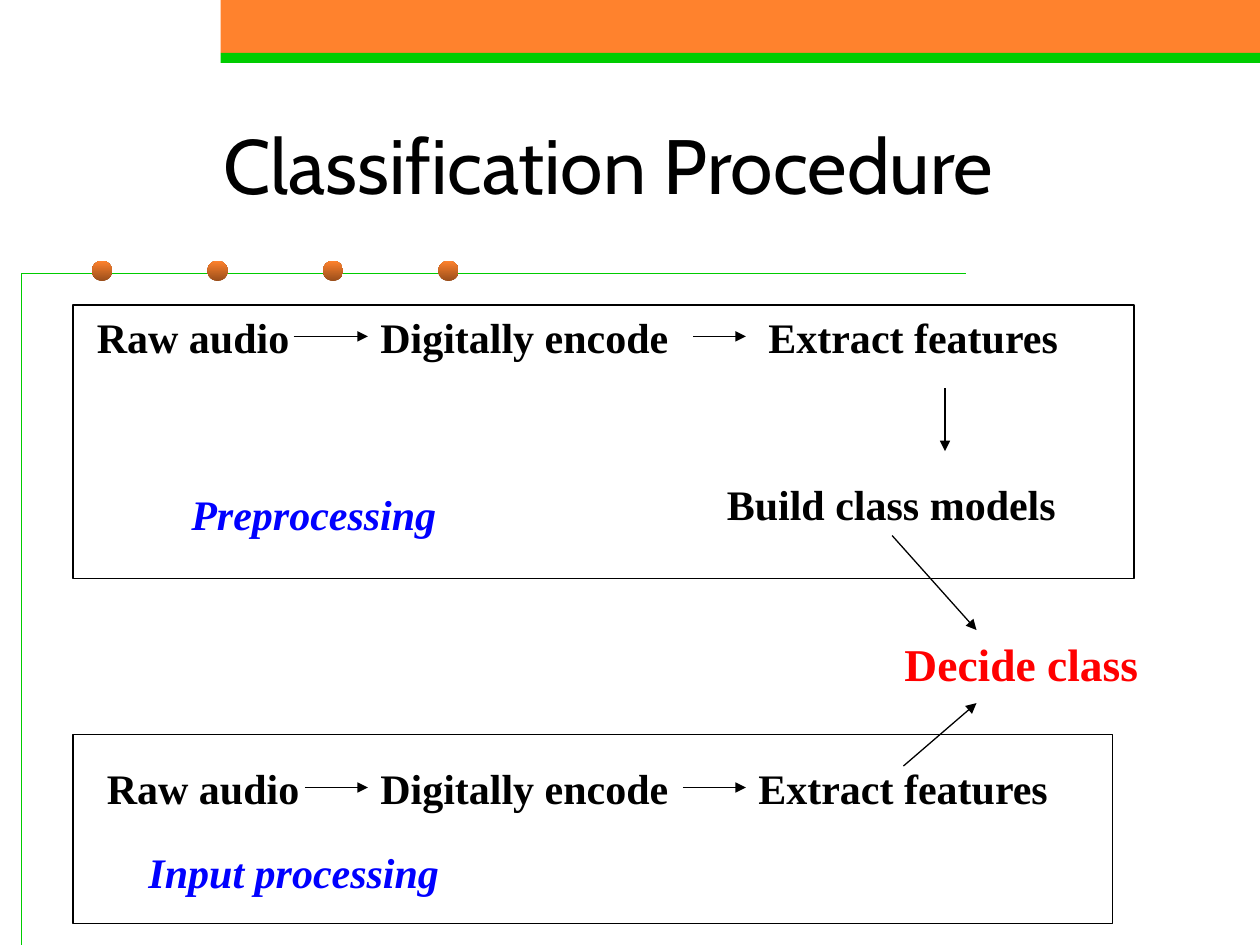
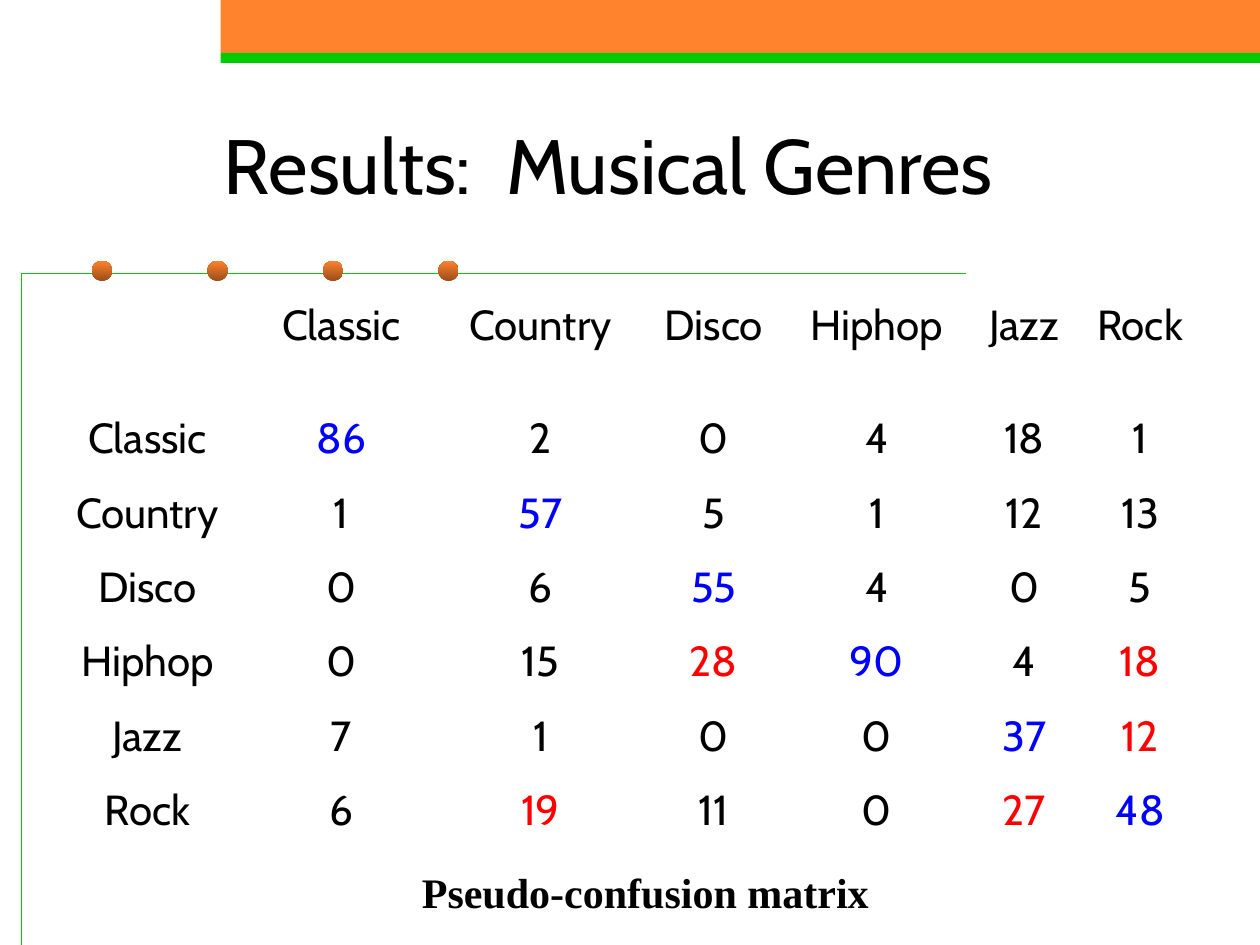
import lxml.etree
import pptx
import pptx.dml.color
import pptx.enum.shapes
import pptx.enum.text
import pptx.oxml.ns
import pptx.util

Inches = pptx.util.Inches
Pt = pptx.util.Pt
qn = pptx.oxml.ns.qn
SHAPE = pptx.enum.shapes.MSO_SHAPE
ALIGN = pptx.enum.text.PP_ALIGN
ANCHOR = pptx.enum.text.MSO_ANCHOR

ORANGE, GREEN, BROWN = "FF822D", "00CC00", "9A4E1B"
BLACK, BLUE, RED = "000000", "0000FF", "FF0000"

TITLE = {"name": "Cabin", "size": Pt(44), "bold": False}
CELL = {"name": "Cabin", "size": Pt(24), "bold": False}
STEP = {"name": "Times New Roman", "size": Pt(24), "bold": True}
CAPTION = {**STEP, "italic": True}
DECISION = {**STEP, "size": Pt(26)}

GENRES = ["Classic", "Country", "Disco", "Hiphop", "Jazz", "Rock"]
COUNTS = [
    [86, 2, 0, 4, 18, 1],
    [1, 57, 5, 1, 12, 13],
    [0, 6, 55, 4, 0, 5],
    [0, 15, 28, 90, 4, 18],
    [7, 1, 0, 0, 37, 12],
    [6, 19, 11, 0, 27, 48],
]
CONFUSIONS = {("Hiphop", "Disco"), ("Hiphop", "Rock"), ("Jazz", "Rock"),
              ("Rock", "Country"), ("Rock", "Jazz")}


def rgb(hex_value):
    return pptx.dml.color.RGBColor.from_string(hex_value)


def write(frame, text, style, color=BLACK, align=ALIGN.LEFT, before=0):
    paragraph = frame.paragraphs[0]
    paragraph.alignment = align
    paragraph.space_before = Pt(before)
    run = paragraph.add_run()
    run.text = text
    for attribute, value in style.items():
        setattr(run.font, attribute, value)
    run.font.color.rgb = rgb(color)


def add_text(slide, box, text, style, color=BLACK, align=ALIGN.LEFT,
             anchor=ANCHOR.TOP, before=15):
    frame = slide.shapes.add_textbox(*map(Inches, box)).text_frame
    frame.word_wrap = True
    frame.vertical_anchor = anchor
    write(frame, text, style, color, align, before)


def add_preset(slide, kind, box, fill=None, line=None):
    shape = slide.shapes.add_shape(kind, *map(Inches, box))
    shape.shadow.inherit = False
    if fill:
        shape.fill.solid()
        shape.fill.fore_color.rgb = rgb(fill)
    else:
        shape.fill.background()
    if line:
        shape.line.color.rgb = rgb(line)
        shape.line.width = Pt(0.75)
    else:
        shape.line.fill.background()
    return shape


def add_arrow(slide, x1, y1, x2, y2):
    arrow = slide.shapes.add_connector(
        pptx.enum.shapes.MSO_CONNECTOR.STRAIGHT, *map(Inches, (x1, y1, x2, y2)))
    arrow.line.color.rgb = rgb(BLACK)
    arrow.line.width = Pt(0.75)
    lxml.etree.SubElement(arrow.get_or_add_ln(), qn("a:tailEnd"), type="triangle")
    lxml.etree.SubElement(arrow.line._ln.getparent(), qn("a:effectLst"))


def add_corner_rule(slide, left, top, width, height):
    """Draw the green angle with its row of four beads."""
    builder = slide.shapes.build_freeform(Inches(left), Inches(top + height))
    builder.add_line_segments(
        [(Inches(left), Inches(top)), (Inches(left + width), Inches(top))], close=False)
    rule = builder.convert_to_shape()
    rule.shadow.inherit = False
    rule.fill.background()
    rule.line.color.rgb = rgb(GREEN)
    rule.line.width = Pt(0.75)

    for i in range(4):
        bead = add_preset(slide, SHAPE.OVAL,
                          (left + 0.56 + i * 2.75 / 3, top - 0.1, 0.16, 0.16))
        bead.fill.gradient()
        bead.fill.gradient_angle = 90
        for stop, color in zip(bead.fill.gradient_stops, (BROWN, ORANGE)):
            stop.color.rgb = rgb(color)


def add_titled_slide(deck, title):
    slide = deck.slides.add_slide(deck.slide_layouts[6])
    add_preset(slide, SHAPE.RECTANGLE, (1.75, 0, 8.25, 0.42), ORANGE)
    add_preset(slide, SHAPE.RECTANGLE, (1.75, 0.42, 8.25, 0.08), GREEN)
    add_corner_rule(slide, 0.17, 2.17, 7.5, 5.33)
    add_text(slide, (0.58, 0.67, 8.5, 1.25), title, TITLE, align=ALIGN.CENTER,
             anchor=ANCHOR.MIDDLE, before=0)
    return slide


def add_stage(slide, box, steps, arrows, caption):
    """Draw a framed stage; steps, arrows and caption are relative to the box."""
    left, top = box[:2]
    for text, x, y, width in steps:
        add_text(slide, (left + x, top + y, width, 0.5), text, STEP)
    for x1, y1, x2, y2 in arrows:
        add_arrow(slide, left + x1, top + y1, left + x2, top + y2)
    add_preset(slide, SHAPE.RECTANGLE, box, line=BLACK)
    text, x, y, width = caption
    add_text(slide, (left + x, top + y, width, 0.5), text, CAPTION, BLUE)


def add_matrix(slide, left, top):
    widths = [1.5, 1.58, 1.58, 1.17, 1.42, 0.92, 0.92]
    heights = [0.9] + [0.59] * len(GENRES)
    matrix = slide.shapes.add_table(
        len(heights), len(widths), Inches(left), Inches(top),
        Inches(sum(widths)), Inches(sum(heights))).table
    matrix.first_row = matrix.horz_banding = False
    for column, width in zip(matrix.columns, widths):
        column.width = Inches(width)
    for row, height in zip(matrix.rows, heights):
        row.height = Inches(height)
    for cell in matrix.iter_cells():
        cell.fill.background()

    def fill_cell(row, column, text, color=BLACK):
        write(matrix.cell(row, column).text_frame, text, CELL, color, ALIGN.CENTER, 6)

    for i, (genre, counts) in enumerate(zip(GENRES, COUNTS), 1):
        fill_cell(0, i, genre)
        fill_cell(i, 0, genre)
        for j, (guess, count) in enumerate(zip(GENRES, counts), 1):
            color = BLUE if i == j else RED if (genre, guess) in CONFUSIONS else BLACK
            fill_cell(i, j, str(count), color)


def build_procedure(deck):
    slide = add_titled_slide(deck, "Classification Procedure")
    add_stage(
        slide, (0.58, 2.42, 8.42, 2.17),
        steps=[("Raw audio", 0.09, 0, 1.75), ("Digitally encode", 2.34, 0, 2.58),
               ("Extract features", 5.42, 0, 2.58),
               ("Build class models", 5.09, 1.33, 2.92)],
        arrows=[(1.75, 0.25, 2.34, 0.25), (4.92, 0.25, 5.34, 0.25),
                (6.92, 0.66, 6.92, 1.16)],
        caption=("Preprocessing", 0.84, 1.41, 2.25))
    add_stage(
        slide, (0.58, 5.83, 8.25, 1.5),
        steps=[("Raw audio", 0.17, 0.17, 1.83), ("Digitally encode", 2.34, 0.17, 2.58),
               ("Extract features", 5.34, 0.17, 2.58)],
        arrows=[(1.84, 0.42, 2.34, 0.42), (4.84, 0.42, 5.34, 0.42)],
        caption=("Input processing", 0.5, 0.84, 2.58))
    add_arrow(slide, 7.08, 4.25, 7.75, 5)
    add_text(slide, (7.08, 5, 2.58, 0.54), "Decide class", DECISION, RED, before=16.2)
    add_arrow(slide, 7.17, 6.08, 7.75, 5.58)


def build_results(deck):
    slide = add_titled_slide(deck, "Results:  Musical Genres")
    add_matrix(slide, 0.42, 2.33)
    add_text(slide, (3.25, 6.83, 3.75, 0.5), "Pseudo-confusion matrix", STEP)


def main():
    deck = pptx.Presentation()
    deck.slide_width, deck.slide_height = Inches(10), Inches(7.5)
    build_procedure(deck)
    build_results(deck)
    deck.save("out.pptx")


if __name__ == "__main__":
    main()
